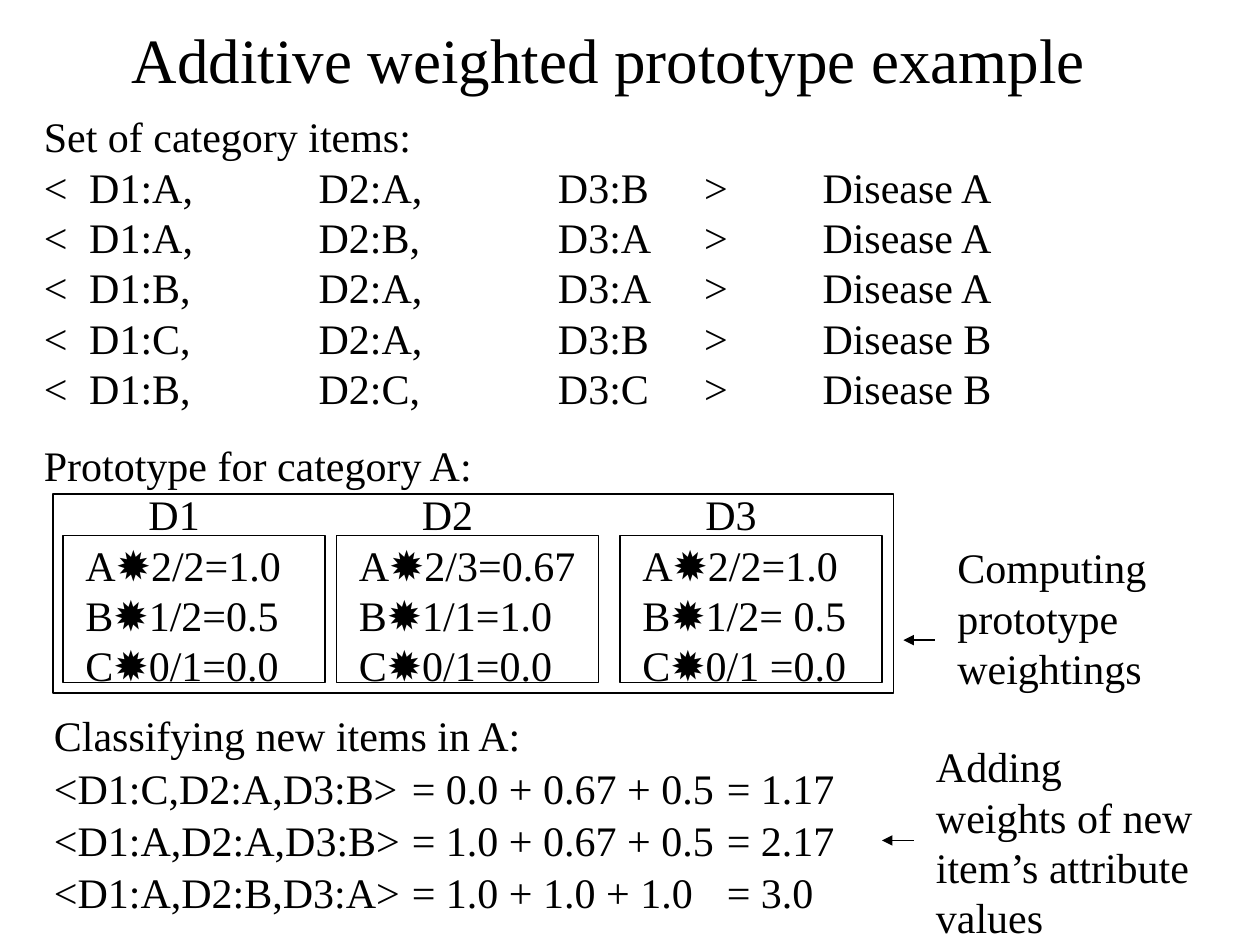
from dataclasses import dataclass

from lxml import etree
from pptx import Presentation
from pptx import util as u
from pptx.dml.color import RGBColor
from pptx.enum import shapes, text
from pptx.oxml.ns import qn

BLACK = RGBColor(0, 0, 0)
WHITE = RGBColor(255, 255, 255)
SERIF = "Times New Roman"
SYMBOL_FONT = "Calibri"
STAR = "✹"
ITEM_TABS = (0.36, 2.18, 4.08, 5.24, 6.18)

ITEMS = (
    ("D1:A,", "D2:A,", "D3:B", "A"),
    ("D1:A,", "D2:B,", "D3:A", "A"),
    ("D1:B,", "D2:A,", "D3:A", "A"),
    ("D1:C,", "D2:A,", "D3:B", "B"),
    ("D1:B,", "D2:C,", "D3:C", "B"),
)


@dataclass(frozen=True)
class Dimension:
    name: str
    text_left: float
    text_width: float
    frame_left: float
    weights: tuple[str, str, str]


@dataclass(frozen=True)
class Note:
    words: str
    left: float
    top: float
    height: float
    arrow_y: float


DIMENSIONS = (
    Dimension("D1", 0.58, 1.92, 0.5, ("2/2=1.0", "1/2=0.5", "0/1=0.0")),
    Dimension("D2", 2.75, 2.08, 2.67, ("2/3=0.67", "1/1=1.0", "0/1=0.0")),
    Dimension("D3", 5, 1.92, 4.92, ("2/2=1.0", "1/2= 0.5", "0/1 =0.0")),
)
SUM_COLUMNS = (0.33, 3.17, 5.67)
SUM_ROWS = (
    ("<D1:C,D2:A,D3:B>", "= 0.0 + 0.67 + 0.5", "= 1.17"),
    ("<D1:A,D2:A,D3:B>", "= 1.0 + 0.67 + 0.5", "= 2.17"),
    ("<D1:A,D2:B,D3:A>", "= 1.0 + 1.0 + 1.0", "= 3.0"),
)
NOTES = (
    Note("Computing prototype weightings", 7.5, 4.25, 1.3, 5.08),
    Note("Adding weights of new item’s attribute values", 7.33, 5.83, 1.7, 6.67),
)


def style_span(span, size: float = 24, font: str = SERIF) -> None:
    span.font.size = u.Pt(size)
    span.font.name = font
    span.font.color.rgb = BLACK


def add_text(page, left: float, top: float, width: float, height: float,
             words: str, size: float = 24):
    box = page.shapes.add_textbox(u.Inches(left), u.Inches(top),
                                  u.Inches(width), u.Inches(height))
    frame = box.text_frame
    frame.word_wrap = True
    frame.text = words
    for para in frame.paragraphs:
        for span in para.runs:
            style_span(span, size)
    return box


def add_title(page) -> None:
    box = add_text(page, 0.58, 0, 8.5, 0.92,
                   "Additive weighted prototype example", 36)
    box.text_frame.vertical_anchor = text.MSO_ANCHOR.MIDDLE
    box.text_frame.paragraphs[0].alignment = text.PP_ALIGN.CENTER


def add_items(page) -> None:
    rows = ["\t".join(("<", *values, ">", f"Disease {disease}"))
            for *values, disease in ITEMS]
    lines = ["Set of category items:", *rows, "Prototype for category A:"]
    box = add_text(page, 0.25, 0.83, 9.17, 3.11, "\n".join(lines))
    box.fill.solid()
    box.fill.fore_color.rgb = WHITE
    paras = box.text_frame.paragraphs
    for para in paras[1:-1]:
        tabs = etree.SubElement(para._p.get_or_add_pPr(), qn("a:tabLst"))
        for stop in ITEM_TABS:
            etree.SubElement(tabs, qn("a:tab"), pos=str(u.Inches(stop)), algn="l")
    paras[-1].space_before = u.Pt(15)


def add_frame(page, left: float, top: float, width: float, height: float) -> None:
    frame = page.shapes.add_shape(shapes.MSO_SHAPE.RECTANGLE, u.Inches(left),
                                  u.Inches(top), u.Inches(width), u.Inches(height))
    frame.shadow.inherit = False
    frame.fill.background()
    frame.line.color.rgb = BLACK
    frame.line.width = u.Pt(0.75)


def add_dimension(page, dimension: Dimension) -> None:
    box = add_text(page, dimension.text_left, 3.83, dimension.text_width, 1.7,
                   dimension.name)
    heading = box.text_frame.paragraphs[0]
    heading._p.get_or_add_pPr().set("marL", str(u.Inches(0.5)))
    for value, weight in zip("ABC", dimension.weights):
        para = box.text_frame.add_paragraph()
        for words, font in ((value, SERIF), (STAR, SYMBOL_FONT), (weight, SERIF)):
            span = para.add_run()
            span.text = words
            style_span(span, font=font)
    add_frame(page, dimension.frame_left, 4.25, 2.08, 1.17)


def add_sums(page) -> None:
    add_text(page, 0.33, 5.58, 4.17, 0.5, "Classifying new items in A:")
    for index, row in enumerate(SUM_ROWS):
        for left, words in zip(SUM_COLUMNS, row):
            add_text(page, left, 6 + index * 0.415, 3, 0.5, words)


def add_note(page, note: Note) -> None:
    add_text(page, note.left, note.top, 2.25, note.height, note.words)
    y = u.Inches(note.arrow_y)
    arrow = page.shapes.add_connector(
        shapes.MSO_CONNECTOR.STRAIGHT,
        u.Inches(note.left - 0.08), y, u.Inches(note.left - 0.33), y)
    arrow.line.color.rgb = BLACK
    arrow.line.width = u.Pt(0.75)
    etree.SubElement(arrow.line._get_or_add_ln(), qn("a:tailEnd"), type="triangle")
    etree.SubElement(arrow._element.spPr, qn("a:effectLst"))


def main() -> None:
    deck = Presentation()
    deck.slide_width = u.Inches(10)
    deck.slide_height = u.Inches(7.5)
    page = deck.slides.add_slide(deck.slide_layouts[6])
    add_title(page)
    add_items(page)
    for dimension in DIMENSIONS:
        add_dimension(page, dimension)
    add_frame(page, 0.42, 3.92, 6.67, 1.58)
    add_sums(page)
    for note in NOTES:
        add_note(page, note)
    deck.save("out.pptx")


if __name__ == "__main__":
    main()
